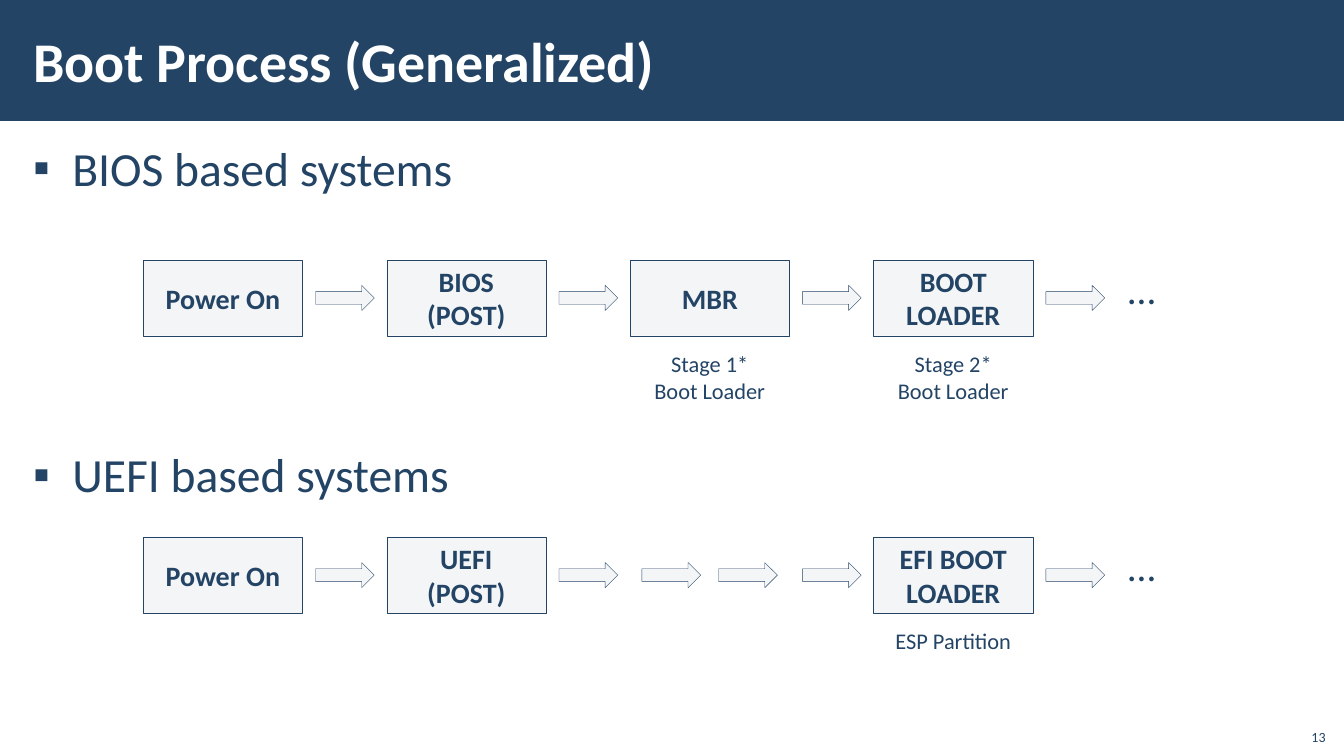
import pptx
import pptx.util
import pptx.dml.color
import pptx.enum.shapes
import pptx.enum.text
import lxml.etree

Pt = pptx.util.Pt
SHAPE = pptx.enum.shapes.MSO_SHAPE
ALIGN = pptx.enum.text.PP_ALIGN
ANCHOR = pptx.enum.text.MSO_ANCHOR
NAVY, PALE, WHITE = "234465", "F4F5F7", "FFFFFF"
LEFT, STEP, WIDE, HIGH = 102.3, 173.9, 113.8, 54


def tint(text):
    return pptx.dml.color.RGBColor.from_string(text)


def place(x, y, w, h):
    return [Pt(v) for v in (x, y, w, h)]


def write(shape, text, size=20, color=NAVY, bold=False, align=ALIGN.LEFT,
          anchor=ANCHOR.TOP, wrap=True, inset=(7.2, 3.6), bullet=None, gap=0):
    frame = shape.text_frame
    frame.text = text
    frame.word_wrap = wrap
    frame.auto_size = pptx.enum.text.MSO_AUTO_SIZE.NONE
    frame.vertical_anchor = anchor
    frame.margin_left = frame.margin_right = Pt(inset[0])
    frame.margin_top = frame.margin_bottom = Pt(inset[1])
    for i, para in enumerate(frame.paragraphs):
        para.alignment = align
        if bullet:
            props = para._p.get_or_add_pPr()
            props.set("marL", str(Pt(28)))
            props.set("indent", str(-Pt(28)))
            space = props.nsmap["a"]
            font = lxml.etree.SubElement(props, f"{{{space}}}buFont")
            font.set("typeface", "Arial")
            mark = lxml.etree.SubElement(props, f"{{{space}}}buChar")
            mark.set("char", bullet)
            para.line_spacing = 1.05
            para.space_before = Pt(gap if i else 0)
            para.space_after = Pt(6)
        para.font.name = "Calibri"
        para.font.size = Pt(size)
        para.font.bold = bold
        para.font.color.rgb = tint(color)


def label(slide, area, text, **form):
    box = slide.shapes.add_textbox(*place(*area))
    write(box, text, **form)


def block(slide, kind, area, fill=PALE, line=NAVY):
    shape = slide.shapes.add_shape(kind, *place(*area))
    shape.shadow.inherit = False
    shape.fill.solid()
    shape.fill.fore_color.rgb = tint(fill)
    if line:
        shape.line.color.rgb = tint(line)
        shape.line.width = Pt(0.25)
    else:
        shape.line.fill.background()
    return shape


def arrow(slide, x, top):
    block(slide, SHAPE.RIGHT_ARROW, (x, top + 18, 42, 18))


def chain(slide, top, steps):
    for i, (name, note) in enumerate(steps):
        x = LEFT + i * STEP
        if name:
            box = block(slide, SHAPE.RECTANGLE, (x, top, WIDE, HIGH))
            write(box, name, bold=True, align=ALIGN.CENTER,
                  anchor=ANCHOR.MIDDLE)
        else:
            arrow(slide, x + 8.4, top)
            arrow(slide, x + 63.2, top)
        if note:
            label(slide, (x + 8.4, top + 60.5, 97, 23 * len(note.split("\n"))),
                  note, size=16, align=ALIGN.CENTER, wrap=False)
        arrow(slide, x + 123.1, top)
    label(slide, (797.8, top, 36, 41), "...", size=28, wrap=False)


def main():
    deck = pptx.Presentation()
    deck.slide_width, deck.slide_height = Pt(960), Pt(540)
    slide = deck.slides.add_slide(deck.slide_layouts[5])
    title = slide.shapes.title
    title.left, title.top, title.width, title.height = place(15.1, 7.9, 765.4, 69.8)
    write(title, "Boot Process (Generalized)", size=40, color=WHITE, bold=True,
          anchor=ANCHOR.MIDDLE, inset=(8.6, 2.9))
    band = block(slide, SHAPE.RECTANGLE, (0, 0, 960, 86.4), NAVY, None)
    title.element.addprevious(band.element)
    label(slide, (15.1, 94.3, 930.2, 435.6), "BIOS based systems\nUEFI based systems",
          size=34, inset=(8.6, 2.9), bullet="▪", gap=170)
    chain(slide, 185.8, [
        ("Power On", ""), ("BIOS\n(POST)", ""),
        ("MBR", "Stage 1*\nBoot Loader"),
        ("BOOT LOADER", "Stage 2*\nBoot Loader")])
    chain(slide, 383.8, [
        ("Power On", ""), ("UEFI\n(POST)", ""), ("", ""),
        ("EFI BOOT LOADER", "ESP Partition")])
    label(slide, (925.2, 512.6, 28.8, 23), "13", size=10, align=ALIGN.RIGHT,
          anchor=ANCHOR.BOTTOM)
    deck.save("out.pptx")


if __name__ == "__main__":
    main()
